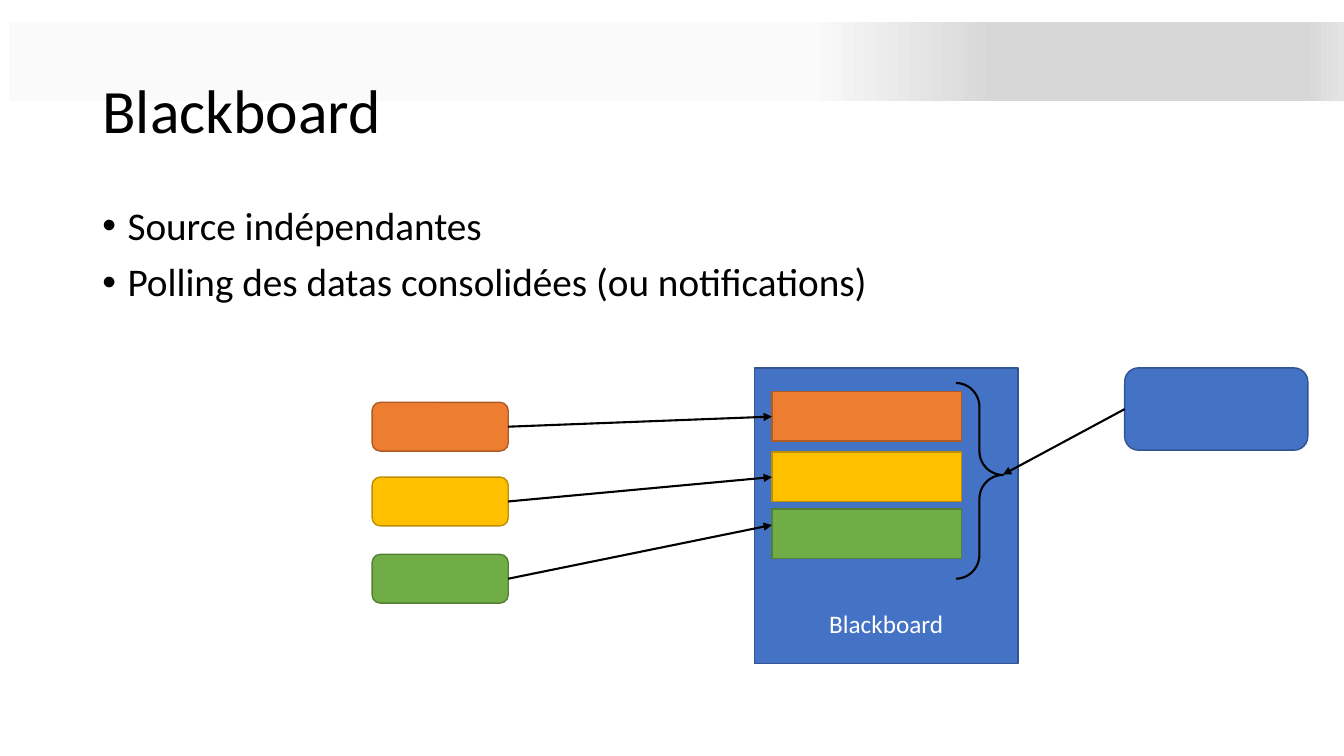
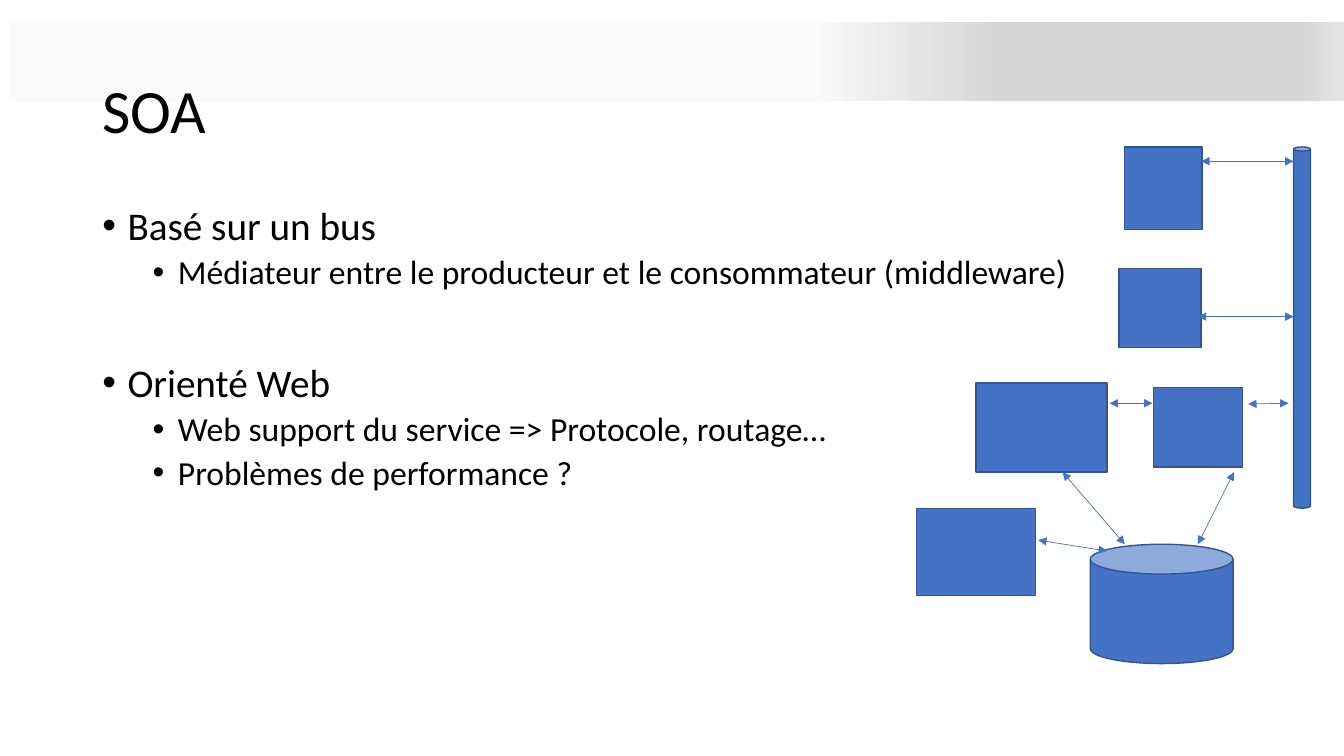
import pptx
import pptx.dml.color
import pptx.enum.shapes
import pptx.enum.text
import pptx.oxml
import pptx.oxml.ns
import pptx.util

SHAPE = pptx.enum.shapes.MSO_SHAPE
ALIGN = pptx.enum.text.PP_ALIGN
ANCHOR = pptx.enum.text.MSO_ANCHOR
Pt = pptx.util.Pt
qn = pptx.oxml.ns.qn

COLS, ROWS = 160, 90
FONT = "Calibri"
BLACK, WHITE = "000000", "FFFFFF"
BLUE, ORANGE, GOLD, GREEN = "4472C4", "ED7D31", "FFC000", "70AD47"
EDGES = {BLUE: "325491", ORANGE: "AF5C24", GOLD: "BD8E00", GREEN: "538035"}
BAND_STOPS = ((60, "FAFAFA"), (74, "D7D7D7"), (97, "D7D7D7"), (100, "E4E4E4"))
# Per level: text size, left margin and space before
LEVELS = ((28, 0.25, 10), (24, 0.75, 5))
SECTION_GAP = 51


def rgb(hex_text):
    return pptx.dml.color.RGBColor.from_string(hex_text)


def apply(obj, **values):
    for name, value in values.items():
        setattr(obj, name, value)


def sub(parent, tag, **attrs):
    """Append a DrawingML child element with the given attributes."""
    child = pptx.oxml.parse_xml(f"<a:{tag} {pptx.oxml.ns.nsdecls('a')}/>")
    for name, value in attrs.items():
        child.set(name, str(value))
    parent.append(child)
    return child


class Deck:
    def __init__(self):
        self.prs = pptx.Presentation()
        apply(self.prs, slide_width=pptx.util.Inches(13.333),
              slide_height=pptx.util.Inches(7.5))
        self.layout = self.prs.slide_layouts.get_by_name("Title Only")
        self.has_band = False

    def x(self, cols):
        return round(self.prs.slide_width * cols / COLS)

    def y(self, rows):
        return round(self.prs.slide_height * rows / ROWS)

    def area(self, left, top, width, height):
        return self.x(left), self.y(top), self.x(width), self.y(height)

    def slide(self, title):
        self.s = self.prs.slides.add_slide(self.layout)
        if not self.has_band:
            self.band()
        sp = self.s.shapes.title
        left, top, width, height = self.area(11, 4.8, 138, 17.4)
        apply(sp, left=left, top=top, width=width, height=height)
        tf = sp.text_frame
        apply(tf, word_wrap=True, vertical_anchor=ANCHOR.MIDDLE,
              auto_size=pptx.enum.text.MSO_AUTO_SIZE.NONE)
        self.label(tf.paragraphs[0], title, 44, BLACK, alignment=ALIGN.LEFT, line_spacing=0.9)

    def band(self):
        """Draw the gradient band and move it to the shared layout."""
        sp = self.shape(SHAPE.RECTANGLE, (1.1, 2.6, 158.9, 9.4))
        sp.line.fill.background()
        sp.fill.gradient()
        sp.fill.gradient_angle = 0
        stops = sp.element.spPr.find(qn("a:gradFill")).find(qn("a:gsLst"))
        for stop in list(stops):
            stops.remove(stop)
        for percent, color in BAND_STOPS:
            sub(sub(stops, "gs", pos=percent * 1000), "srgbClr", val=color)
        self.layout.shapes.element.insert(2, sp.element)
        self.has_band = True

    def label(self, p, text, size, color, **paragraph_format):
        apply(p, **paragraph_format)
        r = p.add_run()
        r.text = text
        apply(r.font, name=FONT, size=Pt(size))
        r.font.color.rgb = rgb(color)

    def bullets(self, items):
        """Add (level, text) items; a new top-level item after a sublist opens a gap."""
        tf = self.s.shapes.add_textbox(*self.area(11, 24, 138, 57.1)).text_frame
        tf.word_wrap = True
        previous = None
        for level, text in items:
            size, margin, before = LEVELS[level]
            if previous is None:
                p, before = tf.paragraphs[0], 0
            else:
                p = tf.add_paragraph()
                if level < previous:
                    before = SECTION_GAP
            pPr = p._p.get_or_add_pPr()
            pPr.set("marL", str(pptx.util.Inches(margin)))
            pPr.set("indent", str(pptx.util.Inches(-0.25)))
            sub(pPr, "buFont", typeface="Arial")
            sub(pPr, "buChar", char="•")
            self.label(p, text, size, BLACK, level=level, line_spacing=0.9, space_before=Pt(before))
            previous = level

    def shape(self, kind, area, fill=BLUE):
        sp = self.s.shapes.add_shape(kind, *self.area(*area))
        sp.shadow.inherit = False
        sp.fill.solid()
        sp.fill.fore_color.rgb = rgb(fill)
        sp.line.color.rgb = rgb(EDGES[fill])
        sp.line.width = Pt(1)
        return sp

    def caption(self, sp, text):
        tf = sp.text_frame
        apply(tf, vertical_anchor=ANCHOR.BOTTOM, margin_bottom=self.y(3), word_wrap=True)
        self.label(tf.paragraphs[0], text, 18, WHITE, alignment=ALIGN.CENTER)

    def brace(self, area, *adjustments):
        sp = self.shape(SHAPE.RIGHT_BRACE, area)
        sp.fill.background()
        sp.line.color.rgb = rgb(BLACK)
        sp.line.width = Pt(1.5)
        for i, value in enumerate(adjustments):
            sp.adjustments[i] = value

    def arrow(self, x1, y1, x2, y2, color=BLACK, width=1.5, ends=("tailEnd",)):
        c = self.s.shapes.add_connector(
            pptx.enum.shapes.MSO_CONNECTOR.STRAIGHT,
            self.x(x1), self.y(y1), self.x(x2), self.y(y2))
        c.line.color.rgb = rgb(color)
        c.line.width = Pt(width)
        spPr = c.element.spPr
        for end in ends:
            sub(spPr.find(qn("a:ln")), end, type="triangle")
        sub(spPr, "effectLst")


def blackboard_slide(deck):
    deck.slide("Blackboard")
    deck.bullets([(0, "Source indépendantes"),
                  (0, "Polling des datas consolidées (ou notifications)")])
    board = deck.shape(SHAPE.RECTANGLE, (89.8, 43.8, 31.4, 35.2))
    deck.caption(board, "Blackboard")

    source_left, source_width, source_height = 44.3, 16.2, 5.8
    slot_left = 91.9
    # Colour, source top, slot top, arrow end
    flows = ((ORANGE, 47.9, 46.6, 49.6), (GOLD, 56.8, 53.8, 56.8), (GREEN, 66, 60.6, 62.5))
    for color, source_top, slot_top, end in flows:
        deck.shape(SHAPE.RECTANGLE, (slot_left, slot_top, 22.6, 5.9), color)
        deck.shape(SHAPE.ROUNDED_RECTANGLE,
                   (source_left, source_top, source_width, source_height), color)
        deck.arrow(source_left + source_width, source_top + source_height / 2, slot_left, end)

    deck.brace((113.8, 45.6, 5.6, 23.3), 0.51, 0.47)
    deck.shape(SHAPE.ROUNDED_RECTANGLE, (133.9, 43.8, 21.8, 9.8))
    deck.arrow(133.9, 48.7, 119.4, 56.5)


def soa_slide(deck):
    deck.slide("SOA")
    deck.bullets([(0, "Basé sur un bus"),
                  (1, "Médiateur entre le producteur et le consommateur (middleware)"),
                  (0, "Orienté Web"),
                  (1, "Web support du service => Protocole, routage…"),
                  (1, "Problèmes de performance ?")])
    database, bus = (129.8, 64.8, 17, 14.2), (154, 17.5, 2, 43)
    for area in (database, bus):
        deck.shape(SHAPE.CAN, area)
    services = ((133.9, 17.5, 9.2, 9.8), (133.2, 32, 9.8, 9.4), (137.3, 46.1, 10.6, 9.5),
                (116.2, 45.6, 15.6, 10.6), (109.1, 60.5, 14.2, 10.4))
    for area in services:
        deck.shape(SHAPE.RECTANGLE, area)
    bus_links = ((143, 19.2, 154, 19.2), (142.6, 37.7, 154, 37.7), (148.6, 48.1, 153.4, 48))
    service_links = ((132.1, 48, 137.2, 48),)
    database_links = ((126.5, 56.2, 133.9, 64.8), (131.8, 65.6, 123.6, 64.3),
                      (146.9, 56.2, 142.6, 64.8))
    for link in bus_links + service_links + database_links:
        deck.arrow(*link, color=BLUE, width=0.5, ends=("headEnd", "tailEnd"))


def main():
    deck = Deck()
    blackboard_slide(deck)
    soa_slide(deck)
    deck.prs.save("out.pptx")


if __name__ == "__main__":
    main()
